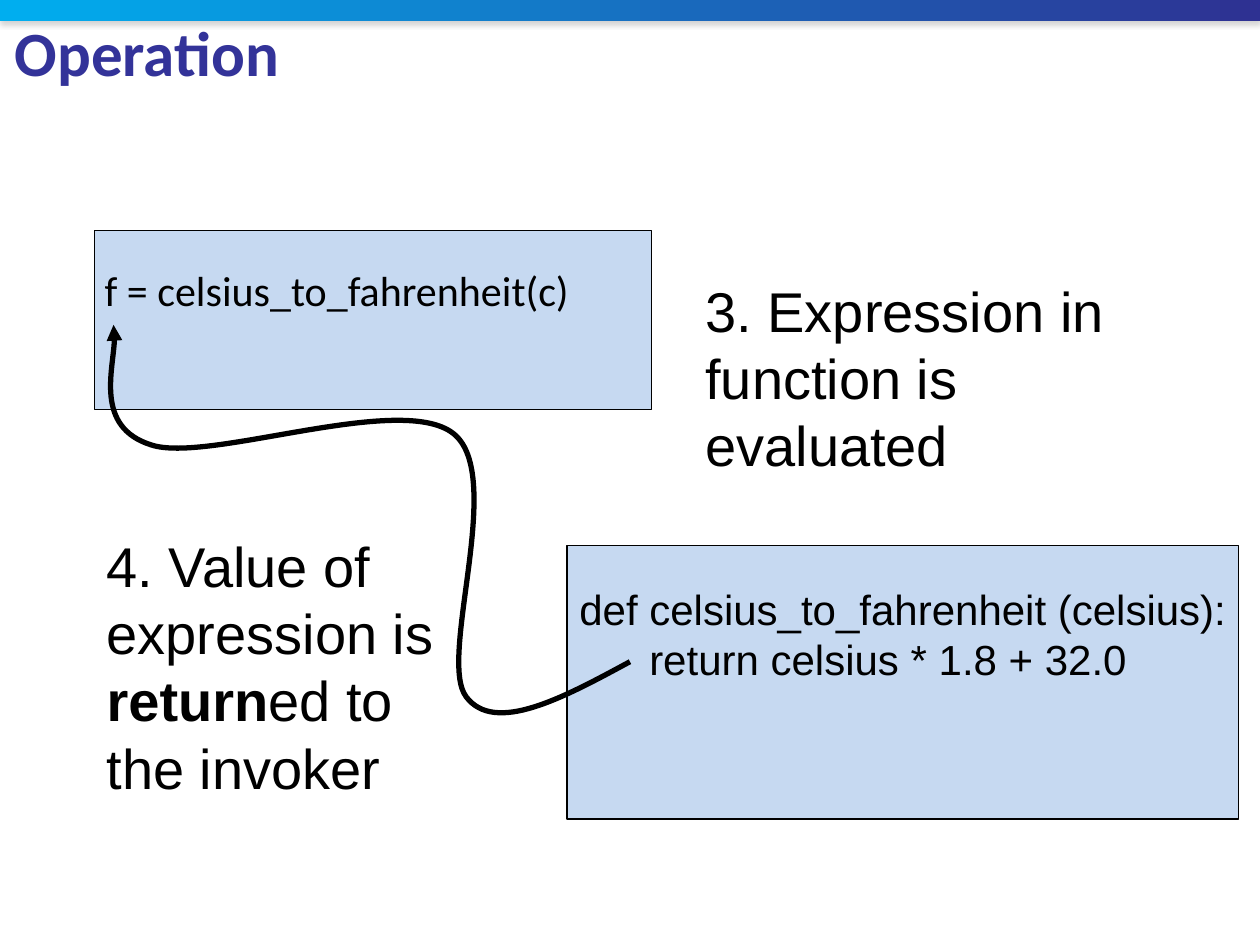
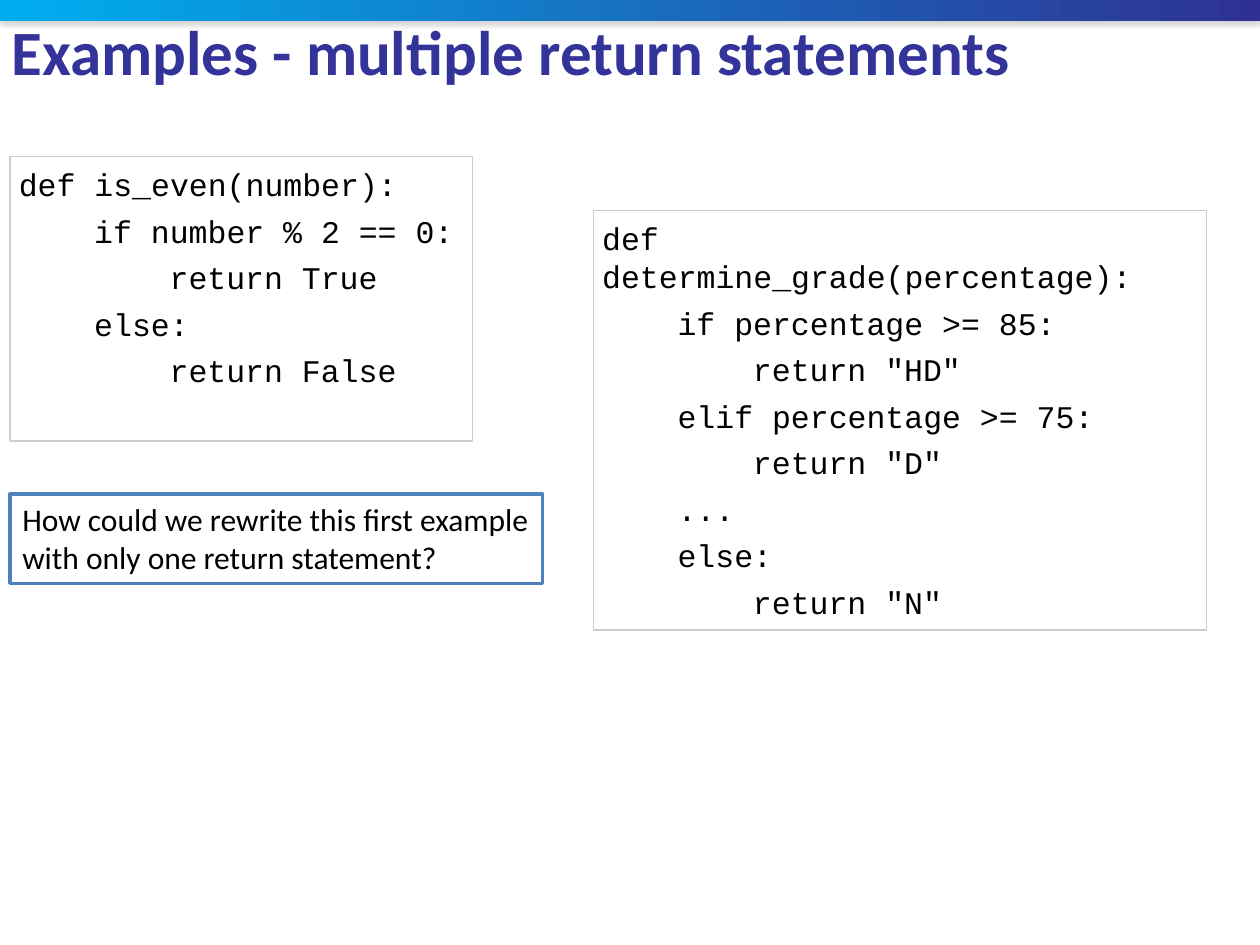
import pptx
import pptx.dml.color
import pptx.enum.shapes
import pptx.enum.text
import pptx.oxml
import pptx.oxml.ns
import pptx.util

Cm, Pt = pptx.util.Cm, pptx.util.Pt
qn = pptx.oxml.ns.qn
ANCHOR = pptx.enum.text.MSO_ANCHOR

COLOURS = {
    "band start": "00AEEF", "band end": "2E3192", "shadow": "808080",
    "title": "333399", "text": "000000", "panel": "C6D9F1",
    "paper": "FFFFFF", "code border": "CCCCCC", "question border": "4F81BD",
}

# Content: boxes are (left, top, width, height) in cm,
# lines are (indent level, text), steps are (text, bold) runs
OPERATION = {
    "title": "Operation",
    "steps": [
        ((13.97, 5.44, 10.36, 4.37),
         [("3. Expression in function is evaluated", False)]),
        ((1.9, 10.59, 7.62, 5.74),
         [("4. Value of expression is ", False), ("return", True),
          ("ed to the invoker", False)]),
    ],
    "panels": [
        {"box": (1.9, 4.65, 11.23, 3.6), "text box": (1.86, 5.2, 11.2, 1.3),
         "font": "Calibri", "lines": [(0, "f = celsius_to_fahrenheit(c)")]},
        {"box": (11.43, 11, 13.54, 5.51), "text box": (11.43, 11.63, 13.77, 2.31),
         "font": "Arial",
         "lines": [(0, "def celsius_to_fahrenheit (celsius):"),
                   (1, "return celsius * 1.8 + 32.0")]},
    ],
    # Start point, then three Bezier points for each bend
    "return path": [
        (12.7, 13.34),
        (11.35, 14.07), (9.98, 14.81), (9.4, 14.05),
        (8.81, 13.28), (10.21, 9.58), (9.14, 8.74),
        (8.08, 7.9), (4.19, 9.35), (3.05, 8.97),
        (1.9, 8.61), (2.41, 6.96), (2.29, 6.55),
    ],
}
EXAMPLES = {
    "title": "Examples - multiple return statements",
    "listings": [
        ((0.2, 3.15, 9.32, 5.74),
         [(0, "def is_even(number):"), (1, "if number % 2 == 0:"),
          (2, "return True"), (1, "else:"), (2, "return False")]),
        ((11.96, 4.24, 12.37, 8.46),
         [(0, "def determine_grade(percentage):"),
          (1, "if percentage >= 85:"), (2, 'return "HD"'),
          (1, "elif percentage >= 75:"), (2, 'return "D"'),
          (1, "..."), (1, "else:"), (2, 'return "N"')]),
    ],
    "question": ((0.2, 9.96, 10.74, 1.8),
                 "How could we rewrite this first example "
                 "with only one return statement?"),
}
PANEL_INDENT, CODE_INDENT = 1.41, 1.52


def rgb(name):
    return pptx.dml.color.RGBColor.from_string(COLOURS[name])


def add_box(slide, box, fill=None, border=None, width=0.75):
    shape = slide.shapes.add_shape(
        pptx.enum.shapes.MSO_SHAPE.RECTANGLE, *map(Cm, box))
    shape.shadow.inherit = False
    if fill:
        shape.fill.solid()
        shape.fill.fore_color.rgb = rgb(fill)
    else:
        shape.fill.background()
    if border:
        shape.line.color.rgb = rgb(border)
        shape.line.width = Pt(width)
    else:
        shape.line.fill.background()
    return shape


def add_text_box(slide, box):
    return slide.shapes.add_textbox(*map(Cm, box))


def set_frame(shape, anchor=ANCHOR.TOP, inset=None):
    frame = shape.text_frame
    frame.word_wrap = True
    frame.vertical_anchor = anchor
    if inset is not None:
        frame.margin_left = frame.margin_right = Cm(inset)
        frame.margin_top = frame.margin_bottom = Cm(inset)
    return frame


def style(paragraph, font, size, colour="text", bold=None):
    paragraph.alignment = pptx.enum.text.PP_ALIGN.LEFT
    paragraph.font.name = font
    paragraph.font.size = Pt(size)
    paragraph.font.bold = bold
    paragraph.font.color.rgb = rgb(colour)


def write_lines(frame, lines, font, size, indent=0.0, space=0):
    for number, (level, text) in enumerate(lines):
        paragraph = frame.add_paragraph() if number else frame.paragraphs[0]
        paragraph.text = text
        paragraph.space_before = Pt(space)
        style(paragraph, font, size)
        if level:
            properties = paragraph._p.get_or_add_pPr()
            properties.set("marL", str(Cm(level * indent)))
            properties.set("indent", "0")


def add_slide(title, top, inset):
    """Start a slide with the gradient band and the title."""
    slide = deck.slides.add_slide(deck.slide_layouts[6])
    band = add_box(slide, (0, 0, 25.4, 0.43), "band start")
    band.fill.gradient()
    band.fill.gradient_angle = 0
    for stop, name in zip(band.fill.gradient_stops, ("band start", "band end")):
        stop.color.rgb = rgb(name)
    shadow = pptx.oxml.parse_xml(
        '<a:outerShdw xmlns:a="http://schemas.openxmlformats.org/drawingml/2006/main"'
        f' blurRad="{Pt(3.1)}" dist="{Pt(1.8)}" dir="5400000" rotWithShape="0">'
        f'<a:srgbClr val="{COLOURS["shadow"]}"><a:alpha val="35000"/></a:srgbClr>'
        '</a:outerShdw>')
    band._element.spPr.find(qn("a:effectLst")).append(shadow)

    frame = set_frame(add_text_box(slide, (0.05, top, 23.83, 1.37)),
                      ANCHOR.MIDDLE, inset)
    frame.text = title
    style(frame.paragraphs[0], "Calibri", 36, "title", True)
    return slide


def add_curve_arrow(slide, points):
    """Draw a chain of Bezier bends that ends in an arrowhead."""
    start, *rest = [(Cm(x), Cm(y)) for x, y in points]
    builder = slide.shapes.build_freeform(*start)
    builder.add_line_segments(rest, close=False)
    curve = builder.convert_to_shape()
    curve.shadow.inherit = False
    curve.fill.background()
    curve.line.color.rgb = rgb("text")
    curve.line.width = Pt(3)
    # Gather every three straight segments into one cubic bend
    segments = list(curve._element.iter(qn("a:lnTo")))
    outline = segments[0].getparent()
    for first in range(0, len(segments), 3):
        bend = outline.makeelement(qn("a:cubicBezTo"), {})
        outline.append(bend)
        for segment in segments[first:first + 3]:
            bend.append(segment[0])
            outline.remove(segment)
    line = curve.line._get_or_add_ln()
    line.append(line.makeelement(qn("a:tailEnd"), {"type": "triangle"}))


deck = pptx.Presentation()
deck.slide_width, deck.slide_height = Cm(25.4), Cm(19.05)

# Slide 1: how a value is returned
slide = add_slide(OPERATION["title"], 0.36, 0.25)
for box, runs in OPERATION["steps"]:
    paragraph = set_frame(add_text_box(slide, box)).paragraphs[0]
    paragraph.space_before = Pt(4)
    style(paragraph, "Arial", 32)
    for text, bold in runs:
        run = paragraph.add_run()
        run.text = text
        if bold:
            run.font.bold = True
for panel in OPERATION["panels"]:
    add_box(slide, panel["box"], "panel", "text")
    write_lines(set_frame(add_text_box(slide, panel["text box"])),
                panel["lines"], panel["font"], 24, PANEL_INDENT)
add_curve_arrow(slide, OPERATION["return path"])

# Slide 2: code listings and a question
slide = add_slide(EXAMPLES["title"], 0.33, 0.18)
for box, lines in EXAMPLES["listings"]:
    listing = add_box(slide, box, border="code border")
    write_lines(set_frame(listing, inset=0.18), lines, "Courier New", 18,
                CODE_INDENT, 5)
box, question = EXAMPLES["question"]
question_box = add_box(slide, box, "paper", "question border", 2)
write_lines(set_frame(question_box), [(0, question)], "Calibri", 18)

deck.save("out.pptx")
